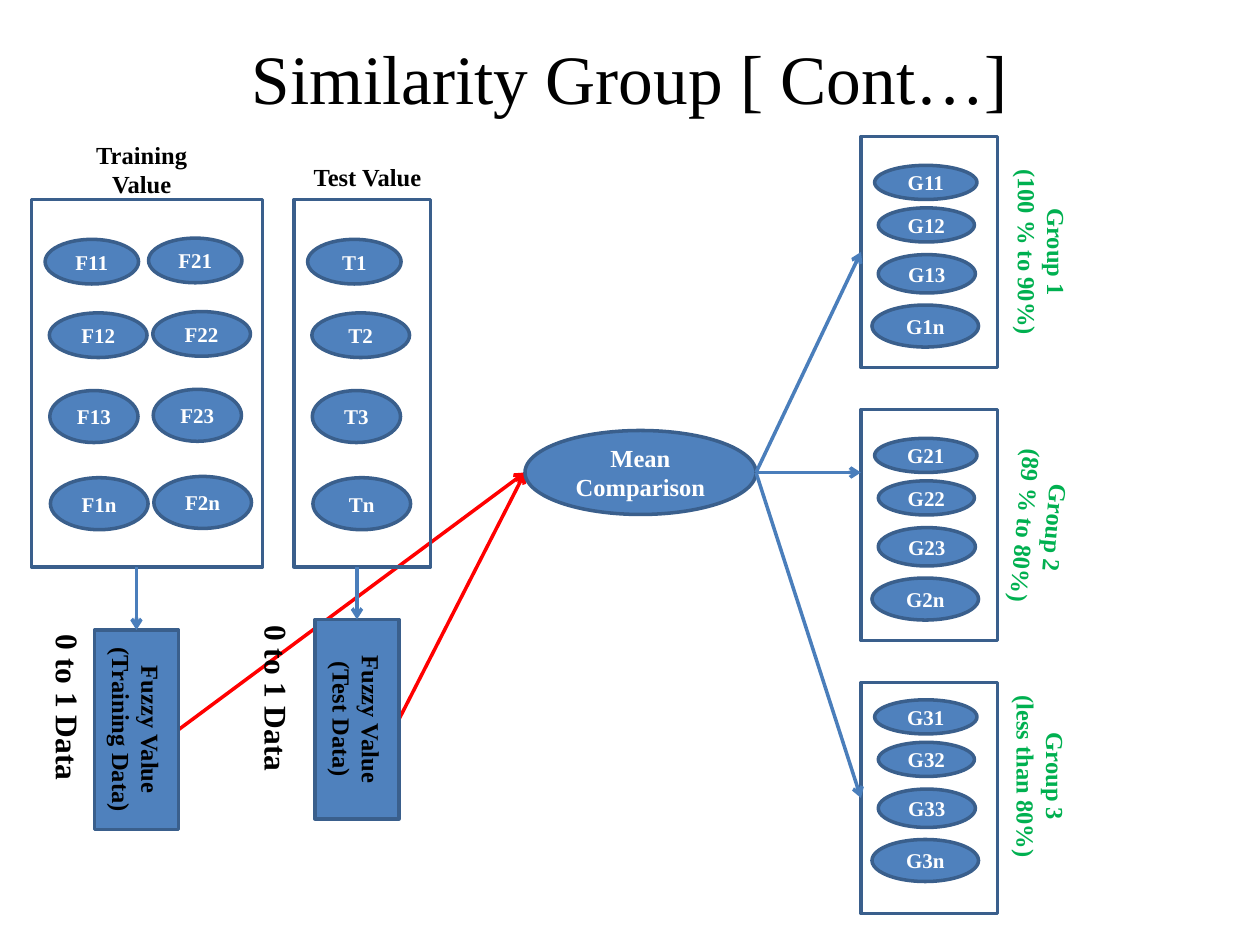
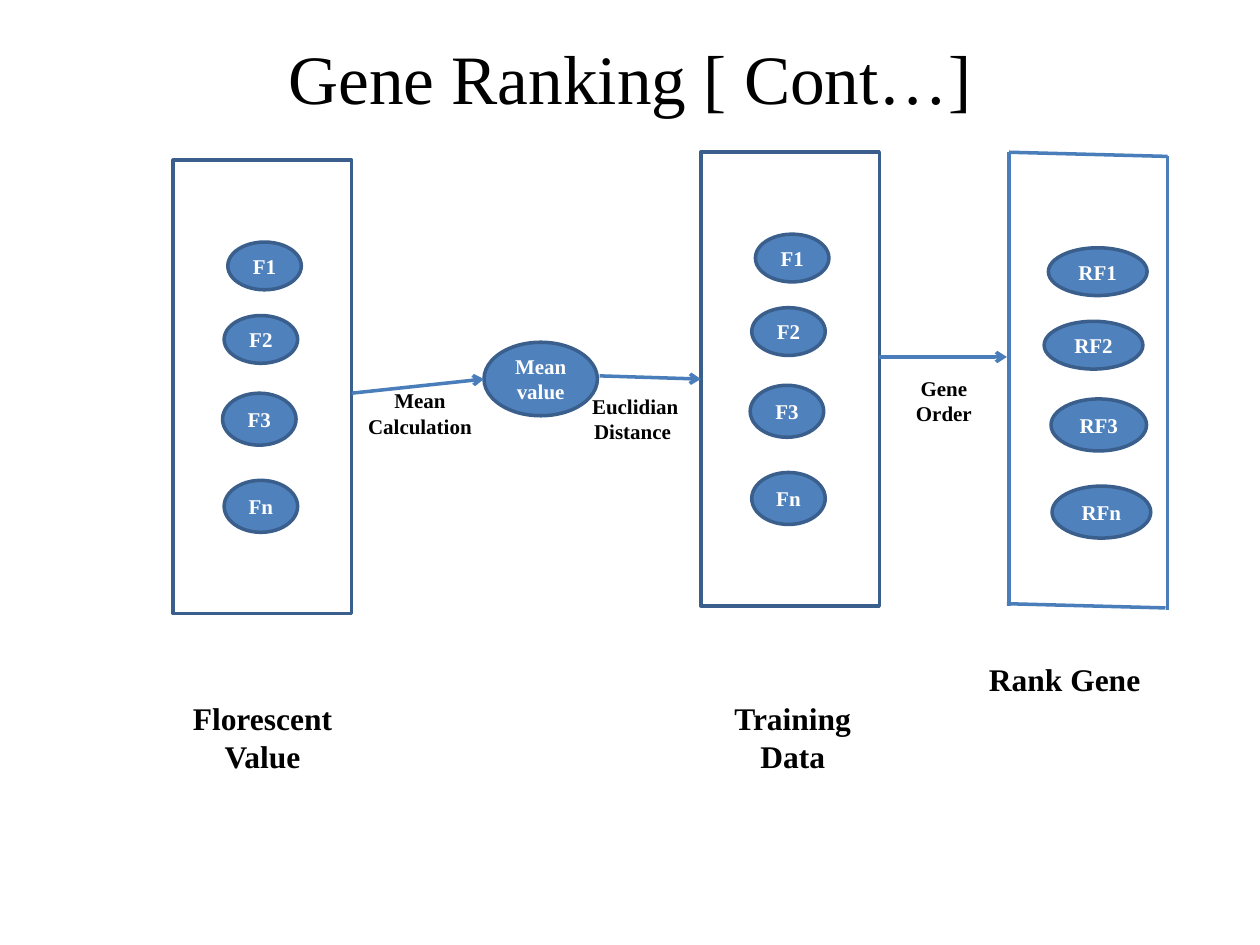
import pptx
import pptx.util
import pptx.dml.color
import pptx.enum.shapes
import pptx.enum.text
import pptx.oxml
import pptx.oxml.ns

deck = pptx.Presentation()
deck.slide_width = pptx.util.Inches(10)
deck.slide_height = pptx.util.Inches(7.5)
col = deck.slide_width / 120
row = deck.slide_height / 90

hue = pptx.dml.color.RGBColor.from_string
form = pptx.enum.shapes.MSO_SHAPE
side = pptx.enum.text.MSO_ANCHOR
BLUE, EDGE, WIRE = "4F81BD", "3A5F8C", "4A7EBB"
RED, GREEN, BLACK, WHITE = "FF0000", "00B050", "000000", "FFFFFF"
FONT = {"name": "Times New Roman", "bold": True}


def put(page, kind, at, text="", size=12, ink=WHITE, fill=None, turn=0, **font):
    x, y, w, h = at
    place = [round(v) for v in (x * col, y * row, w * col, h * row)]
    if kind is None:
        item = page.shapes.add_textbox(*place)
    else:
        item = page.shapes.add_shape(kind, *place)
        item.shadow.inherit = False
        item.line.color.rgb = hue(EDGE)
        item.line.width = pptx.util.Pt(2)
        if fill:
            item.fill.solid()
            item.fill.fore_color.rgb = hue(fill)
        else:
            item.fill.background()
    item.rotation = turn
    frame = item.text_frame
    frame.word_wrap = True
    frame.vertical_anchor = side.TOP if kind is None else side.MIDDLE
    if text:
        frame.text = text
    look = {**FONT, "size": pptx.util.Pt(size), **font}
    for para in frame.paragraphs:
        para.alignment = pptx.enum.text.PP_ALIGN.CENTER
        for run in para.runs:
            run.font.color.rgb = hue(ink)
            for key, value in look.items():
                setattr(run.font, key, value)
    return item


def wire(page, start, end, ink=WIRE, head=True):
    ends = [round(v) for x, y in (start, end) for v in (x * col, y * row)]
    item = page.shapes.add_connector(pptx.enum.shapes.MSO_CONNECTOR.STRAIGHT, *ends)
    item.line.color.rgb = hue(ink)
    item.line.width = pptx.util.Pt(2)
    if head:
        tip = pptx.oxml.parse_xml(
            f'<a:tailEnd {pptx.oxml.ns.nsdecls("a")} type="arrow"/>')
        item.line._get_or_add_ln().append(tip)
    flat = pptx.oxml.parse_xml(f'<a:effectLst {pptx.oxml.ns.nsdecls("a")}/>')
    item._element.spPr.append(flat)


pages = []
for title in ("Similarity Group [ Cont…]", "Gene Ranking [ Cont…]"):
    page = deck.slides.add_slide(deck.slide_layouts[6])
    head = put(page, None, (6, 3.6, 108, 7.4), title, 39.6, BLACK, bold=False)
    head.text_frame.vertical_anchor = side.MIDDLE
    pages.append(page)
group, rank = pages

wide = [(1.3, 3.8, 8.9, 4.25), (1.7, 10.8, 9.3, 4.25),
        (1.75, 18.2, 8.4, 4.95), (1.8, 26.5, 9.3, 4.95)]
tight = [(1.3, 2.75, 9.75, 3.25), (1.65, 6.8, 9.15, 3.25),
         (1.65, 11.25, 9.25, 3.65), (1.05, 16.05, 10.15, 4)]
small = [(5.2, 7.8, 7, 4.55), (4.85, 14.8, 7, 4.55),
         (4.7, 22.2, 7, 4.95), (4.85, 30.5, 7, 4.95)]
ranked = [(3.75, 9.1, 9.4, 4.55), (3.35, 16.1, 9.4, 4.55),
          (4, 23.5, 9.1, 4.95), (4.1, 31.8, 9.4, 4.95)]

wire(group, (17, 69.5), (50, 45), RED)
wire(group, (38, 68.5), (50, 45), RED)
put(group, form.OVAL, (50, 41, 22, 8), "Mean Comparison", 14, fill=BLUE)

for page, name, x, y, dots in (
    (group, "F1", 3, 19, wide), (group, "F2", 12.85, 18.88, wide),
    (group, "T", 28, 19, wide), (group, "G1", 82, 13, tight),
    (group, "G2", 82, 39, tight), (group, "G3", 82, 63.9, tight),
    (rank, "F", 16.5, 15.25, small), (rank, "F", 66.75, 14.5, small),
    (rank, "RF", 96.1, 14.5, ranked),
):
    for mark, (dx, dy, w, h) in zip("123n", dots):
        put(page, form.FLOWCHART_CONNECTOR, (x + dx, y + dy, w, h),
            name + mark, fill=BLUE)

for page, at in (
    (group, (3, 19, 22, 35)), (group, (28, 19, 13, 35)),
    (group, (82, 13, 13, 22)), (group, (82, 39, 13, 22)),
    (group, (82, 65, 13, 22)),
    (rank, (16.5, 15.25, 17, 43.2)), (rank, (66.75, 14.5, 17, 43.2)),
):
    put(page, form.RECTANGLE, at)

for x, y, kind in ((3.5, 65.5, "Training"), (24.5, 64.5, "Test")):
    put(group, form.RECTANGLE, (x, y, 19, 8), f"Fuzzy Value\n({kind} Data)",
        14, BLACK, BLUE, 90)

for page, at, text, size, ink, turn in (
    (group, (5, 12.7, 17, 6.8), "Training Value", 14, BLACK, 0),
    (group, (28, 14.8, 14, 4), "Test Value", 14, BLACK, 0),
    (group, (-2, 65, 17, 4.8), "0 to 1 Data", 18, BLACK, 90),
    (group, (17.9, 64.1, 17, 4.8), "0 to 1 Data", 18, BLACK, 90),
    (group, (86.4, 17.75, 20, 12.5), "Group 1\n(100 % to 90%)", 14, GREEN, 90),
    (group, (86.3, 43.7, 20, 12.5), "Group 2\n(89 % to 80%)", 14, GREEN, 95),
    (group, (86.3, 67.7, 20, 12.5), "Group 3\n(less than 80%)", 14, GREEN, 90),
    (rank, (16.5, 66, 17, 8.5), "Florescent Value", 18, BLACK, 0),
    (rank, (67, 66, 17, 8.5), "Training Data", 18, BLACK, 0),
    (rank, (92.9, 62.3, 17, 4.8), "Rank Gene", 18, BLACK, 0),
    (rank, (33.7, 36.35, 13.1, 8.5), "Mean \nCalculation ", 12, BLACK, 0),
    (rank, (55.1, 36.85, 10.8, 5.6), "Euclidian\nDistance ", 12, BLACK, 0),
    (rank, (84.5, 35.15, 10.8, 10.9), "Gene Order", 12, BLACK, 0),
):
    put(page, None, at, text, size, ink, turn=turn)

for y in (24, 45, 76):
    wire(group, (72, 45), (82, y))
wire(group, (13, 54), (13, 60))
wire(group, (34, 54), (34, 59))

put(rank, form.OVAL, (46.1, 32.6, 10.8, 7), "Mean value", fill=BLUE)
wire(rank, (33.5, 37.45), (46.1, 36.1))
wire(rank, (57.1, 35.8), (66.75, 36.1))
wire(rank, (83.75, 34), (95.9, 34))

for start, end in (
    ((96.1, 14.5), (96.1, 57.7)), ((111.2, 14.9), (111.2, 58.1)),
    ((96.1, 14.5), (111.2, 14.9)), ((95.9, 57.5), (111, 57.9)),
):
    wire(rank, start, end, head=False)

deck.save("out.pptx")
